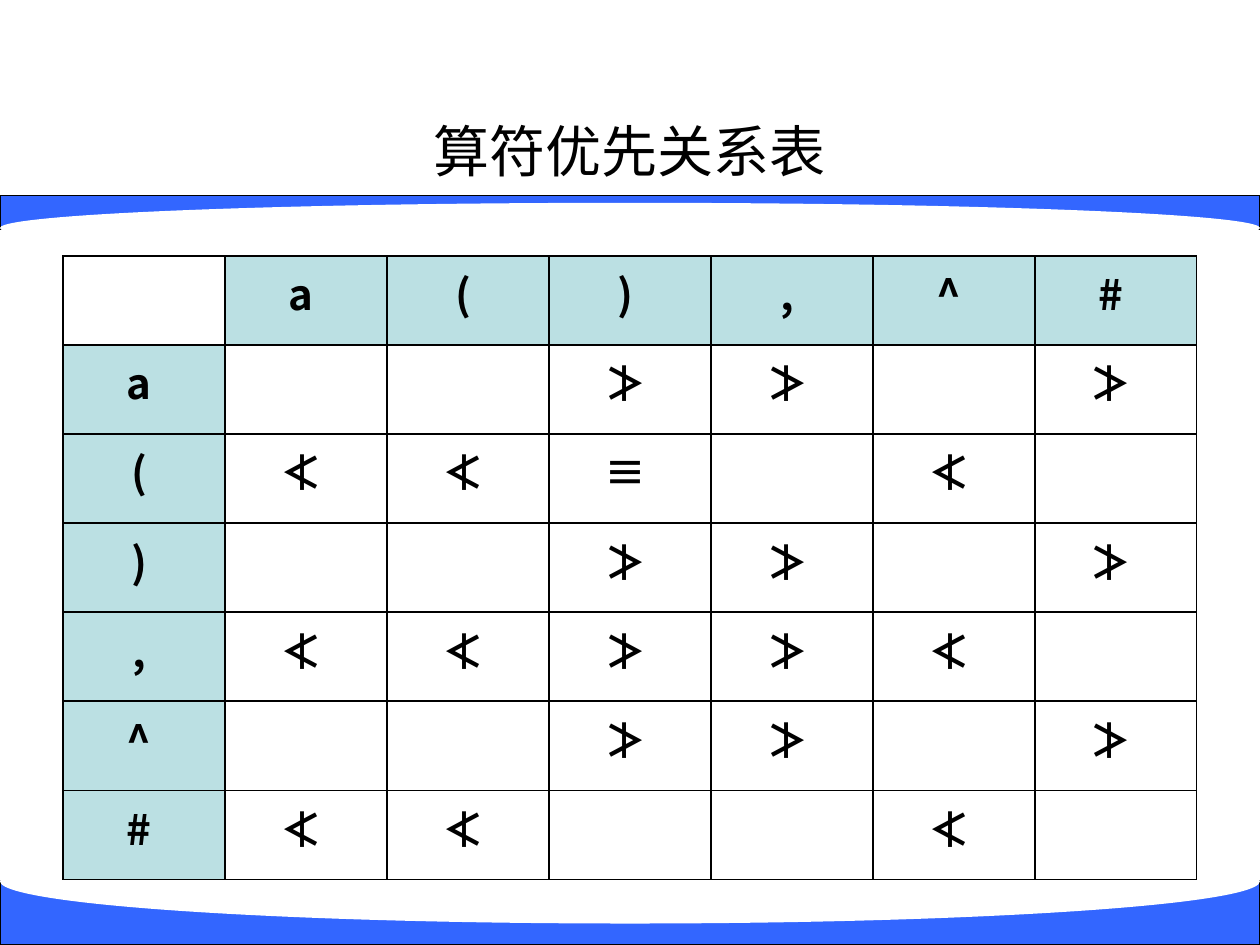
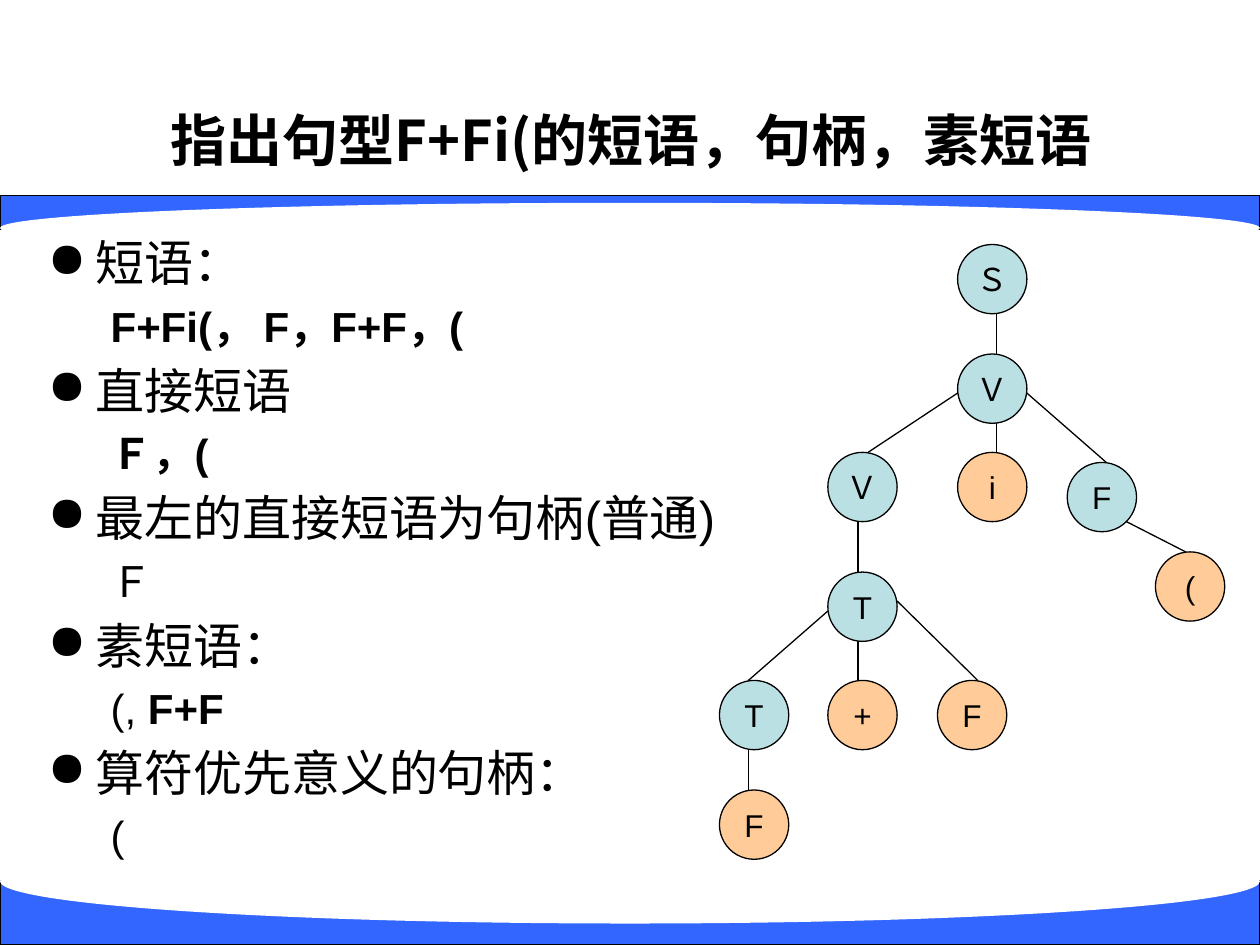
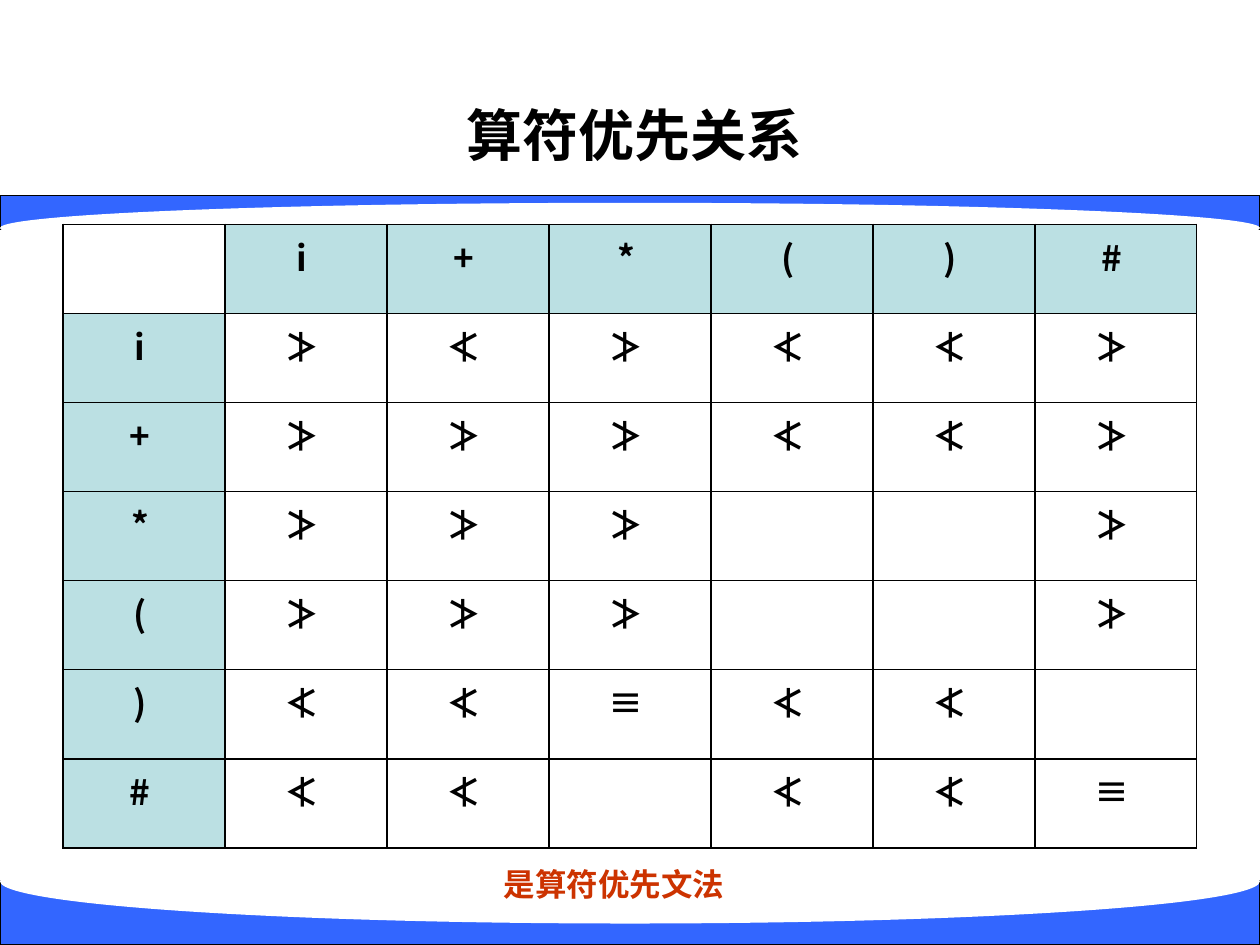
from lxml.etree import SubElement
from pptx import Presentation
from pptx.dml.color import RGBColor
from pptx.enum.shapes import MSO_CONNECTOR, MSO_SHAPE
from pptx.enum.text import MSO_ANCHOR, MSO_AUTO_SIZE, PP_ALIGN
from pptx.oxml.ns import qn
from pptx.util import Inches, Pt

BLACK, WHITE, BLUE = "000000", "FFFFFF", "3366FF"
TEAL, PEACH, RED = "BBE0E3", "FFCC99", "CC3300"
LATIN, CHINESE = "Arial", "Noto Sans CJK SC"

# Shared bands: shape, box, fill, line
BANDS = [
    (MSO_SHAPE.RECTANGLE, (0, 1.55, 10, 0.27), BLUE, BLACK),
    (MSO_SHAPE.OVAL, (0, 1.61, 10, 0.4), WHITE, None),
    (MSO_SHAPE.RECTANGLE, (0, 6.99, 10, 0.51), BLUE, BLACK),
    (MSO_SHAPE.OVAL, (0, 6.66, 10, 0.67), WHITE, None),
]

# Precedence tables: one character per cell, a space is an empty cell
FIRST_RELATIONS = [
    " a(),^#",
    "a  ≯≯ ≯",
    "(≮≮≡ ≮ ",
    ")  ≯≯ ≯",
    ",≮≮≯≯≮ ",
    "^  ≯≯ ≯",
    "#≮≮  ≮ ",
]
SECOND_RELATIONS = [
    " i+*()#",
    "i≯≮≯≮≮≯",
    "+≯≯≯≮≮≯",
    "*≯≯≯  ≯",
    "(≯≯≯  ≯",
    ")≮≮≡≮≮ ",
    "#≮≮ ≮≮≡",
]

# Each heading with its answer, as (text, bold) spans
PHRASES = [
    ("短语：", [("F+Fi(， F，F+F，(", True)]),
    ("直接短语", [("Ｆ，(", True)]),
    ("最左的直接短语为句柄(普通)", [("Ｆ", False)]),
    ("素短语：", [("(, ", False), ("F+F", True)]),
    ("算符优先意义的句柄：", [("(", False)]),
]

# Syntax tree: name -> label, left, top, fill
NODE = 0.55
NODES = {
    "root": ("Ｓ", 7.6, 1.94, TEAL),
    "V": ("Ｖ", 7.6, 2.81, TEAL),
    "i": ("i", 7.6, 3.59, PEACH),
    "left V": ("Ｖ", 6.57, 3.59, TEAL),
    "right F": ("F", 8.47, 3.67, TEAL),
    "bracket": ("(", 9.17, 4.38, PEACH),
    "T": ("T", 6.57, 4.54, TEAL),
    "sum F": ("F", 7.44, 5.4, PEACH),
    "left T": ("T", 5.71, 5.4, TEAL),
    "plus": ("+", 6.57, 5.4, PEACH),
    "left F": ("F", 5.71, 6.27, PEACH),
}
# Parent, child, start within the parent (x, y), end along the child's top
BRANCHES = [
    ("root", "V", 0.31, NODE, 0.31),
    ("V", "i", 0.31, NODE, 0.31),
    ("V", "left V", 0, 0.31, 0.32),
    ("V", "right F", NODE, 0.31, 0.31),
    ("right F", "bracket", 0.47, 0.47, 0.24),
    ("left V", "T", 0.24, NODE, 0.24),
    ("T", "plus", 0.24, NODE, 0.24),
    ("T", "left T", 0, 0.31, 0.23),
    ("T", "sum F", NODE, 0.23, 0.32),
    ("left T", "left F", 0.23, NODE, 0.23),
]


def color(value):
    return RGBColor.from_string(value)


def inches(values):
    return [Inches(value) for value in values]


def style(span, size, bold=False, font=LATIN, ink=BLACK):
    span.font.size = Pt(size)
    span.font.bold = bold
    span.font.color.rgb = color(ink)
    span.font.name = font
    latin = span._r.rPr.find(qn("a:latin"))
    east = latin.makeelement(qn("a:ea"), {"typeface": CHINESE})
    latin.addnext(east)


def indent(para, left, first):
    properties = para._p.get_or_add_pPr()
    properties.set("marL", str(Inches(left)))
    properties.set("indent", str(Inches(first)))
    return properties


def add_shape(page, kind, box, fill, line=None):
    shape = page.shapes.add_shape(kind, *inches(box))
    shape.shadow.inherit = False
    shape.fill.solid()
    shape.fill.fore_color.rgb = color(fill)
    if line:
        shape.line.color.rgb = color(line)
        shape.line.width = Pt(0.75)
    else:
        shape.line.fill.background()
    return shape


def add_page(deck, text, box, bold=False, font=LATIN):
    page = deck.slides.add_slide(deck.slide_layouts[5])
    for band in BANDS:
        add_shape(page, *band)
    title = page.shapes.title
    title.left, title.top, title.width, title.height = inches(box)
    frame = title.text_frame
    frame.text = text
    frame.auto_size = MSO_AUTO_SIZE.NONE
    frame.vertical_anchor = MSO_ANCHOR.MIDDLE
    frame.paragraphs[0].alignment = PP_ALIGN.CENTER
    style(frame.paragraphs[0].runs[0], 32, bold, font)
    return page


def add_borders(cell):
    properties = cell._tc.get_or_add_tcPr()
    for position, side in enumerate(("lnL", "lnR", "lnT", "lnB")):
        line = properties.makeelement(qn("a:" + side), {"w": str(Pt(1))})
        fill = SubElement(line, qn("a:solidFill"))
        SubElement(fill, qn("a:srgbClr"), val=BLACK)
        properties.insert(position, line)


def add_relations(page, rows, top, size):
    count = len(rows)
    table = page.shapes.add_table(count, count, *inches((0.5, top, 9, 4.95))).table
    table.first_row = table.horz_banding = False
    for r, symbols in enumerate(rows):
        table.rows[r].height = Inches(4.95 / count)
        table.columns[r].width = Inches(9 / count)
        for c, symbol in enumerate(symbols):
            cell = table.cell(r, c)
            if (r == 0) != (c == 0):
                cell.fill.solid()
                cell.fill.fore_color.rgb = color(TEAL)
            else:
                cell.fill.background()
            add_borders(cell)
            if symbol != " ":
                cell.text_frame.text = symbol + " "
                para = cell.text_frame.paragraphs[0]
                para.alignment = PP_ALIGN.CENTER
                indent(para, 0.38, -0.38)
                style(para.runs[0], size, True, CHINESE)


def add_phrases(page):
    frame = page.shapes.add_textbox(*inches((0.28, 1.8, 5.67, 5.67))).text_frame
    frame.word_wrap = True
    para = frame.paragraphs[0]
    for number, (heading, answer) in enumerate(PHRASES):
        if number:
            para = frame.add_paragraph()
        para.text = heading
        para.space_before = Pt(5.6)
        SubElement(indent(para, 0.38, -0.38), qn("a:buChar"), char="●")
        style(para.runs[0], 28)

        para = frame.add_paragraph()
        para.level = 1
        para.space_before = Pt(4.8)
        indent(para, 0.5, 0)
        for text, bold in answer:
            span = para.add_run()
            span.text = text
            style(span, 24, bold)


def add_tree(page):
    for label, left, top, fill in NODES.values():
        node = add_shape(page, MSO_SHAPE.OVAL, (left, top, NODE, NODE), fill, BLACK)
        frame = node.text_frame
        frame.text = label
        frame.word_wrap = False
        frame.vertical_anchor = MSO_ANCHOR.MIDDLE
        frame.paragraphs[0].alignment = PP_ALIGN.CENTER
        style(frame.paragraphs[0].runs[0], 18)
    for parent, child, start_x, start_y, end_x in BRANCHES:
        _, left, top, _ = NODES[parent]
        _, child_left, child_top, _ = NODES[child]
        ends = (left + start_x, top + start_y, child_left + end_x, child_top)
        branch = page.shapes.add_connector(MSO_CONNECTOR.STRAIGHT, *inches(ends))
        branch.line.color.rgb = color(BLACK)
        branch.line.width = Pt(0.75)
        SubElement(branch._element.spPr, qn("a:effectLst"))


def add_verdict(page):
    frame = page.shapes.add_textbox(*inches((3.9, 6.82, 1.96, 0.4))).text_frame
    frame.word_wrap = False
    frame.auto_size = MSO_AUTO_SIZE.SHAPE_TO_FIT_TEXT
    frame.text = "是算符优先文法"
    style(frame.paragraphs[0].runs[0], 18, True, ink=RED)


def main():
    deck = Presentation()
    deck.slide_width, deck.slide_height = inches((10, 7.5))

    # First precedence table
    page = add_page(deck, "算符优先关系表", (0.5, 0.84, 9, 0.71))
    add_relations(page, FIRST_RELATIONS, 2.03, 24)

    # Phrases and syntax tree
    page = add_page(deck, "指出句型F+Fi(的短语，句柄，素短语",
                    (0.51, 0.76, 9, 0.69), True, CHINESE)
    add_phrases(page)
    add_tree(page)

    # Second precedence table with its verdict
    page = add_page(deck, "算符优先关系 ", (0.59, 0.68, 9, 0.77), True)
    add_relations(page, SECOND_RELATIONS, 1.78, 20)
    add_verdict(page)

    deck.save("out.pptx")


if __name__ == "__main__":
    main()
